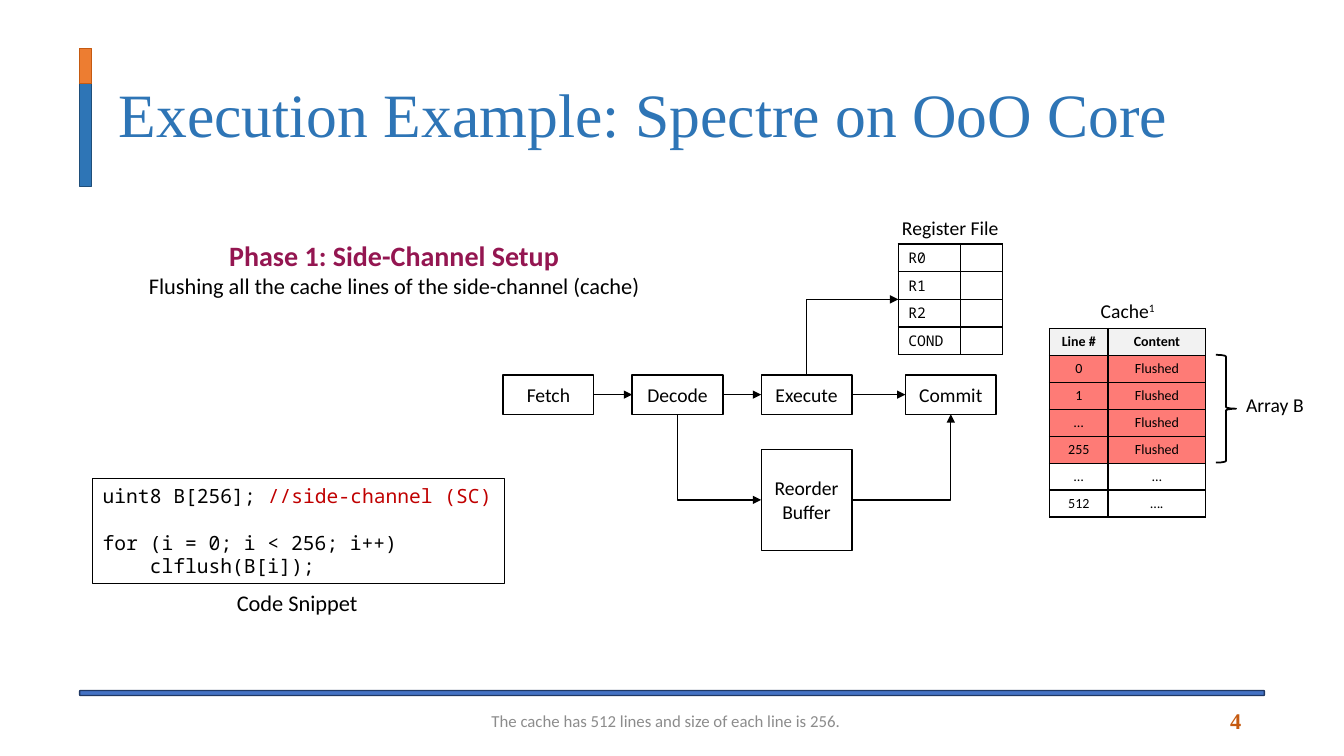
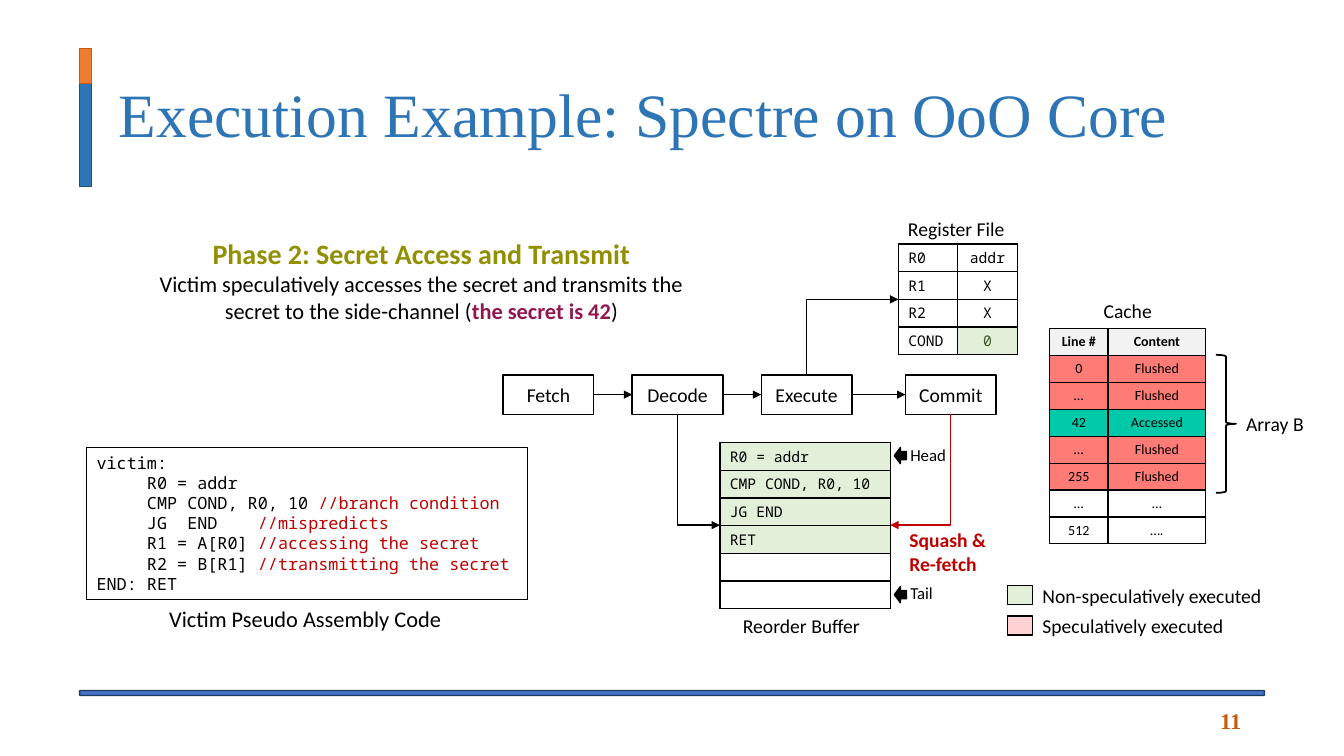
"""Build two slides that walk through a Spectre attack on an out-of-order core."""
from dataclasses import dataclass
from typing import NamedTuple, Optional

from lxml import etree
from pptx import Presentation
from pptx.dml.color import RGBColor
from pptx.enum import shapes, text
from pptx.oxml import ns
from pptx.util import Inches, Pt

BLACK, WHITE, RED = "000000", "FFFFFF", "C00000"
BLUE, ORANGE, PLUM, OLIVE = "2E75B6", "C55A11", "941651", "929000"
FLUSHED, ACCESSED, HEADER = "FE7B76", "00C9A9", "F2F2F2"
SAFE, SPECULATIVE = "E2F0D9", "FFD1D2"
SANS, MONO, SERIF = "Calibri", "Noto Sans Mono", "Times New Roman"
LEFT, CENTER, RIGHT = text.PP_ALIGN.LEFT, text.PP_ALIGN.CENTER, text.PP_ALIGN.RIGHT
TOP, MIDDLE = text.MSO_ANCHOR.TOP, text.MSO_ANCHOR.MIDDLE
RECTANGLE = shapes.MSO_SHAPE.RECTANGLE
TITLE = "Execution Example: Spectre on OoO Core"
STAGES = {"Fetch": 4.99, "Decode": 6.27, "Execute": 7.55, "Commit": 8.98}
STAGE_TOP, STAGE_WIDTH, STAGE_HEIGHT = 3.72, 0.9, 0.39


class Area(NamedTuple):
    """Left, top, width and height in inches."""
    left: float
    top: float
    width: float
    height: float


@dataclass(frozen=True)
class Style:
    """Look of a piece of text."""
    size: float = 14
    color: str = BLACK
    font: str = SANS
    bold: bool = False
    baseline: Optional[int] = None


@dataclass(frozen=True)
class Cell:
    """One table cell."""
    content: str = ""
    style: Style = Style(10)
    align: text.PP_ALIGN = CENTER
    fill: Optional[str] = None


LABEL, CAPTION, SMALL = Style(), Style(16), Style(12)
CELL_CODE = Style(10.5, font=MONO)
Line = list[tuple[str, Style]]


def rgb(color: str) -> RGBColor:
    """Turn a hex string into a colour."""
    return RGBColor.from_string(color)


def inches(*values: float) -> list[int]:
    """Convert several lengths."""
    return [Inches(value) for value in values]


def plain(content: str, style: Style) -> list[Line]:
    """Make one line of a single style for each row of the text."""
    return [[(row, style)] for row in content.split("\n")]


def code(content: str, size: float) -> list[Line]:
    """Make code lines whose comments are red."""
    lines = []
    for row in content.split("\n"):
        statement, mark, comment = row.partition("//")
        lines.append([(statement, Style(size, font=MONO)),
                      (mark + comment, Style(size, RED, MONO))])
    return lines


def write(frame, lines: list[Line], align=LEFT, anchor=TOP, wrap=False) -> None:
    """Fill a text frame with styled lines."""
    frame.word_wrap, frame.vertical_anchor = wrap, anchor
    for index, line in enumerate(lines):
        paragraph = frame.add_paragraph() if index else frame.paragraphs[0]
        paragraph.alignment = align
        for content, style in line:
            if not content:
                continue
            run = paragraph.add_run()
            run.text = content
            font = run.font
            font.name, font.size, font.bold = style.font, Pt(style.size), style.bold
            font.color.rgb = rgb(style.color)
            if style.baseline:
                font._element.set("baseline", str(style.baseline))
        if not paragraph.runs:
            etree.SubElement(paragraph._p, ns.qn("a:endParaRPr"),
                             sz=str(int(line[0][1].size * 100)))


def add_label(slide, area: Area, lines: list[Line], align=LEFT, anchor=TOP, wrap=False):
    """Add a text box."""
    box = slide.shapes.add_textbox(*inches(*area))
    write(box.text_frame, lines, align, anchor, wrap)
    return box


def add_shape(slide, kind, area: Area, fill: Optional[str] = None,
              line: str = BLACK, weight: float = 1):
    """Add a preset shape without a shadow."""
    shape = slide.shapes.add_shape(kind, *inches(*area))
    shape.shadow.inherit = False
    if fill:
        shape.fill.solid()
        shape.fill.fore_color.rgb = rgb(fill)
    else:
        shape.fill.background()
    shape.line.color.rgb, shape.line.width = rgb(line), Pt(weight)
    return shape


def add_box(slide, area: Area, content: str):
    """Add an outlined box with a centred label."""
    box = add_shape(slide, RECTANGLE, area)
    write(box.text_frame, plain(content, LABEL), CENTER, MIDDLE, True)
    return box


def style_connector(connector, color: str, end: str) -> None:
    """Colour a connector and put an arrowhead on one end."""
    connector.line.color.rgb, connector.line.width = rgb(color), Pt(1)
    outline = connector.line._get_or_add_ln()
    etree.SubElement(outline, ns.qn(f"a:{end}"), type="triangle")
    etree.SubElement(connector._element.spPr, ns.qn("a:effectLst"))


def add_arrow(slide, source, target) -> None:
    """Join two boxes in a row with an arrow."""
    arrow = slide.shapes.add_connector(shapes.MSO_CONNECTOR.STRAIGHT, 0, 0, 0, 0)
    arrow.begin_connect(source, 3)
    arrow.end_connect(target, 1)
    style_connector(arrow, BLACK, "tailEnd")


def add_elbow(slide, x: float, y: float, box, side: int, end: str = "headEnd",
              color: str = BLACK, source=None) -> None:
    """Run sideways from a point, then up or down to the side of a box."""
    target_y = box.top + (box.height if side == 2 else 0)
    elbow = slide.shapes.add_connector(shapes.MSO_CONNECTOR.ELBOW, Inches(x), Inches(y),
                                       box.left + box.width // 2, target_y)
    if source is not None:
        elbow.begin_connect(source, 3 if box.left > source.left else 1)
    elbow.end_connect(box, side)
    elbow._element.spPr.find(ns.qn("a:prstGeom")).set("prst", "bentConnector2")
    style_connector(elbow, color, end)


def add_table(slide, left: float, top: float, columns: list[float], row_height: float,
              rows: list[list[Cell]]) -> None:
    """Add a table with thin black borders."""
    frame = slide.shapes.add_table(len(rows), len(columns), *inches(
        left, top, sum(columns), row_height * len(rows)))
    table = frame.table
    table.first_row = table.horz_banding = False
    for column, width in zip(table.columns, columns):
        column.width = Inches(width)
    for row_index, row in enumerate(rows):
        table.rows[row_index].height = Inches(row_height)
        for column_index, entry in enumerate(row):
            cell = table.cell(row_index, column_index)
            cell.margin_top = cell.margin_bottom = Inches(0.03)
            cell.vertical_anchor = MIDDLE
            write(cell.text_frame, plain(entry.content, entry.style), entry.align, MIDDLE, True)
            properties = cell._tc.get_or_add_tcPr()
            for edge in ("lnL", "lnR", "lnT", "lnB"):
                border = etree.SubElement(properties, ns.qn(f"a:{edge}"), w=str(Pt(1)))
                solid = etree.SubElement(border, ns.qn("a:solidFill"))
                etree.SubElement(solid, ns.qn("a:srgbClr"), val=BLACK)
            if entry.fill:
                cell.fill.solid()
                cell.fill.fore_color.rgb = rgb(entry.fill)
            else:
                cell.fill.background()


def add_frame(presentation, number: int):
    """Start a slide with its title, bands and number."""
    slide = presentation.slides.add_slide(presentation.slide_layouts[5])
    add_shape(slide, shapes.MSO_SHAPE.ROUNDED_RECTANGLE, Area(0.79, 6.85, 11.75, 0.05),
              "4472C4", "203864")
    add_shape(slide, RECTANGLE, Area(0.79, 0.83, 0.12, 1.02), BLUE, "1F4E79")
    add_shape(slide, RECTANGLE, Area(0.79, 0.48, 0.12, 0.35), "ED7D31", ORANGE)
    title = slide.shapes.title
    title.left, title.top, title.width, title.height = inches(1.08, 0.48, 11.34, 1.37)
    write(title.text_frame, plain(TITLE, Style(44, BLUE, SERIF)), LEFT, MIDDLE, True)
    title.text_frame.auto_size = text.MSO_AUTO_SIZE.NONE
    title.text_frame.paragraphs[0].line_spacing = 0.9
    add_label(slide, Area(10.53, 6.95, 1.88, 0.4),
              plain(str(number), Style(16, ORANGE, SERIF, True)), RIGHT, MIDDLE, True)
    return slide


def add_pipeline(slide) -> dict:
    """Draw the stages, and the path from Execute to the register file."""
    boxes = {name: add_box(slide, Area(left, STAGE_TOP, STAGE_WIDTH, STAGE_HEIGHT), name)
             for name, left in STAGES.items()}
    stages = list(boxes.values())
    for source, target in zip(stages, stages[1:]):
        add_arrow(slide, source, target)
    add_elbow(slide, 8.91, 2.97, boxes["Execute"], 0)
    return boxes


def add_registers(slide, label: Area, columns: list[float], values: list[Cell]) -> None:
    """Draw the register file."""
    add_label(slide, label, plain("Register File", LABEL), CENTER)
    names = ("R0", "R1", "R2", "COND")
    add_table(slide, 8.91, 2.42, columns, 0.275,
              [[Cell(name, CELL_CODE, LEFT), value] for name, value in zip(names, values)])


def add_cache(slide, label: Area, title: Line, lines: list[tuple[str, str]],
              array_height: float, array_top: float) -> None:
    """Draw the cache and the brace that marks array B."""
    add_label(slide, label, [title], CENTER)
    fills = {"Flushed": FLUSHED, "Accessed": ACCESSED}
    rows = [[Cell(name, Style(10, bold=True), fill=HEADER) for name in ("Line #", "Content")]]
    for line in lines + [("…", "…"), ("512", "….")]:
        rows.append([Cell(value, fill=fills.get(line[1])) for value in line])
    add_table(slide, 10.41, 3.26, [0.58, 0.97], 0.267, rows)
    add_shape(slide, shapes.MSO_SHAPE.RIGHT_BRACE, Area(12.06, 3.52, 0.2, array_height),
              weight=1.25)
    add_label(slide, Area(12.26, array_top, 0.78, 0.34), plain("Array B", LABEL))


def add_code(slide, area: Area, lines: list[Line], label: Area, caption: str) -> None:
    """Draw a code box and its caption."""
    box = add_shape(slide, RECTANGLE, area, weight=0.75)
    write(box.text_frame, lines)
    add_label(slide, label, plain(caption, CAPTION))


def build_setup(presentation) -> None:
    """Build the slide on side-channel setup."""
    slide = add_frame(presentation, 4)
    add_label(slide, Area(1.35, 2.32, 5.12, 0.71),
              plain("Phase 1: Side-Channel Setup", Style(20, PLUM, bold=True))
              + plain("Flushing all the cache lines of the side-channel (cache)", CAPTION),
              CENTER)
    snippet = ("uint8 B[256]; //side-channel (SC)\n\n"
               "for (i = 0; i < 256; i++)\n    clflush(B[i]);")
    add_code(slide, Area(0.92, 4.75, 4.08, 1.04), code(snippet, 14),
             Area(2.25, 5.8, 1.41, 0.37), "Code Snippet")
    boxes = add_pipeline(slide)
    reorder = add_box(slide, Area(7.55, 4.46, STAGE_WIDTH, 1), "Reorder\nBuffer")
    add_elbow(slide, 7.55, 4.96, boxes["Decode"], 2, source=reorder)
    add_elbow(slide, 8.45, 4.96, boxes["Commit"], 2, "tailEnd", source=reorder)
    add_registers(slide, Area(8.84, 2.09, 1.17, 0.34), [0.62, 0.41],
                  [Cell(style=CELL_CODE)] * 4)
    add_cache(slide, Area(10.81, 2.92, 0.75, 0.34),
              [("Cache", LABEL), ("1", Style(baseline=30000))],
              [(line, "Flushed") for line in ("0", "1", "…", "255")], 1.07, 3.85)
    add_label(slide, Area(3.18, 6.95, 6.85, 0.4),
              plain("The cache has 512 lines and size of each line is 256.",
                    Style(12, "8C8C8C")), CENTER, MIDDLE, True)


def build_transmit(presentation) -> None:
    """Build the slide on secret access and transmission."""
    slide = add_frame(presentation, 11)
    add_label(slide, Area(1.4, 2.3, 5.56, 0.98),
              plain("Phase 2: Secret Access and Transmit", Style(20, OLIVE, bold=True))
              + [[("Victim speculatively accesses the secret and transmits the secret "
                   "to the side-channel (", CAPTION),
                  ("the secret is 42", Style(16, PLUM, bold=True)), (")", CAPTION)]],
              CENTER, wrap=True)
    victim = """victim:
     R0 = addr
     CMP COND, R0, 10 //branch condition
     JG  END    //mispredicts
     R1 = A[R0] //accessing the secret
     R2 = B[R1] //transmitting the secret
END: RET"""
    add_code(slide, Area(0.86, 4.44, 4.37, 1.51), code(victim, 12),
             Area(1.58, 5.95, 2.93, 0.37), "Victim Pseudo Assembly Code")
    boxes = add_pipeline(slide)
    entries = ("R0 = addr", "CMP COND, R0, 10", "JG END", "RET", "", "")
    add_table(slide, 7.14, 4.39, [1.69], 0.275,
              [[Cell(entry, CELL_CODE, LEFT, SAFE if entry else WHITE)] for entry in entries])
    add_label(slide, Area(7.27, 6.04, 1.38, 0.34), plain("Reorder Buffer", LABEL))
    for name, label_top, arrow_top in (("Head", 4.36, 4.44), ("Tail", 5.73, 5.82)):
        width = 0.56 if name == "Head" else 0.43
        add_label(slide, Area(8.93, label_top, width, 0.3), plain(name, SMALL))
        add_shape(slide, shapes.MSO_SHAPE.LEFT_ARROW, Area(8.87, arrow_top, 0.12, 0.16), BLACK)
    add_elbow(slide, 7.14, 5.21, boxes["Decode"], 2)
    add_elbow(slide, 8.83, 5.21, boxes["Commit"], 2, color=RED)
    add_label(slide, Area(8.92, 5.19, 1.01, 0.57),
              plain("Squash &\nRe-fetch", Style(color=RED, bold=True)))
    add_registers(slide, Area(8.9, 2.1, 1.17, 0.34), [0.59, 0.59],
                  [Cell(value, CELL_CODE) for value in ("addr", "X", "X")]
                  + [Cell("0", Style(10.5, "385723", MONO), fill=SAFE)])
    add_cache(slide, Area(10.84, 2.92, 0.69, 0.34), [("Cache", LABEL)],
              [("0", "Flushed"), ("…", "Flushed"), ("42", "Accessed"),
               ("…", "Flushed"), ("255", "Flushed")], 1.37, 4.04)
    legend = (("Non-speculatively executed", SAFE, 2.4),
              ("Speculatively executed", SPECULATIVE, 2.02))
    for index, (name, fill, width) in enumerate(legend):
        top = 5.74 + 0.3 * index
        add_shape(slide, RECTANGLE, Area(9.99, top + 0.07, 0.25, 0.19), fill)
        add_label(slide, Area(10.24, top, width, 0.34), plain(name, LABEL))


def main() -> None:
    """Build and save the presentation."""
    presentation = Presentation()
    presentation.slide_width, presentation.slide_height = inches(13.33, 7.5)
    build_setup(presentation)
    build_transmit(presentation)
    presentation.save("out.pptx")


if __name__ == "__main__":
    main()
